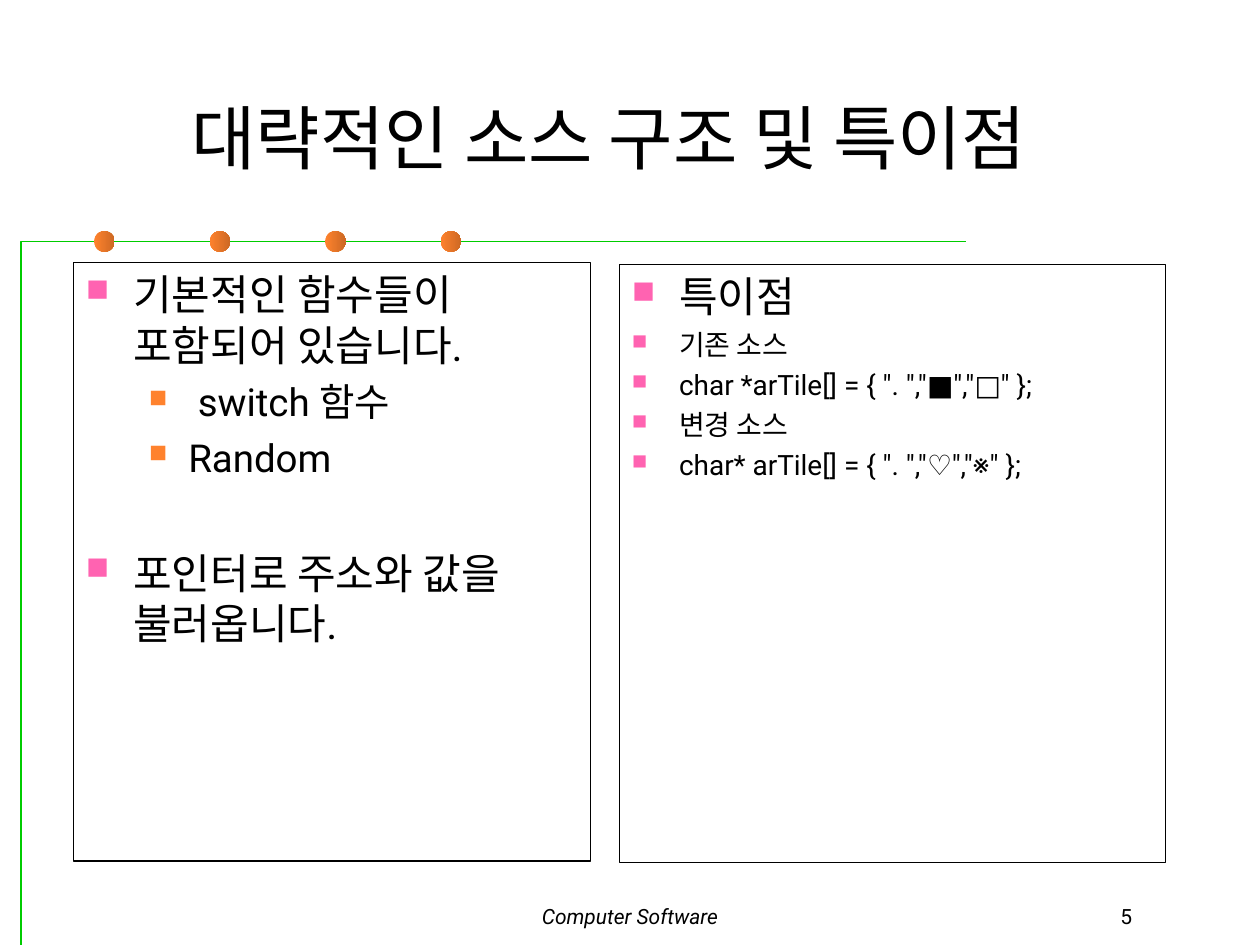
from lxml import etree
from pptx import Presentation
from pptx import util as u
from pptx.dml import color
from pptx.enum import shapes, text
from pptx.oxml import ns

FONT = "Roboto"
# level: (left margin, hanging indent, bullet colour, bullet size in percent)
LEVELS = {0: (27, 27, "FF63B1", 75), 1: (58.5, 22.5, "FF822D", 65)}


def rgb(value):
    """Turn a hex string into a colour."""
    return color.RGBColor.from_string(value)


def style(para, size, align=text.PP_ALIGN.LEFT, italic=False):
    """Set the font and alignment of a paragraph."""
    para.alignment = align
    para.font.name = FONT
    para.font.size = u.Pt(size)
    para.font.italic = italic
    para.font.color.rgb = rgb("000000")


def add_bullet(para, level):
    """Give a paragraph the square bullet and indent of its level."""
    margin, hanging, tint, percent = LEVELS[level]
    para.level = level
    props = para._p.get_or_add_pPr()
    props.set("marL", str(u.Pt(margin)))
    props.set("indent", str(-u.Pt(hanging)))
    holder = etree.Element(ns.qn("a:buClr"))
    etree.SubElement(holder, ns.qn("a:srgbClr"), val=tint)
    size = etree.Element(ns.qn("a:buSzPct"), val=str(percent * 1000))
    mark = etree.Element(ns.qn("a:buChar"), char="■")
    spacing = props.find(ns.qn("a:spcBef"))
    for part in (mark, size, holder):
        spacing.addnext(part)


def add_label(page, box, words, size, align, anchor, italic=False):
    """Place one line of text in a box."""
    frame = page.shapes.add_textbox(*map(u.Pt, box)).text_frame
    frame.word_wrap = True
    frame.vertical_anchor = anchor
    para = frame.paragraphs[0]
    para.text = words
    style(para, size, align, italic)


def add_panel(page, box, items):
    """Place an outlined panel of (words, size, level, extra gap) bullets."""
    panel = page.shapes.add_shape(shapes.MSO_SHAPE.RECTANGLE, *map(u.Pt, box))
    panel.shadow.inherit = False
    panel.fill.background()
    panel.line.color.rgb = rgb("000000")
    panel.line.width = u.Pt(0.75)
    frame = panel.text_frame
    frame.word_wrap = True
    frame.vertical_anchor = text.MSO_ANCHOR.TOP
    for index, (words, size, level, gap) in enumerate(items):
        para = frame.add_paragraph() if index else frame.paragraphs[0]
        para.text = words
        style(para, size)
        para.space_before = u.Pt(round(size * 0.23 + gap, 1))
        add_bullet(para, level)


def add_frame_line(page, box):
    """Draw the corner line on the left and top edges of a box, with its beads."""
    left, top, width, height = box
    builder = page.shapes.build_freeform(u.Pt(left), u.Pt(top + height))
    corner = [(left, top), (left + width, top)]
    builder.add_line_segments([(u.Pt(x), u.Pt(y)) for x, y in corner], close=False)
    line = builder.convert_to_shape()
    line.shadow.inherit = False
    line.fill.background()
    line.line.color.rgb = rgb("00CC00")
    line.line.width = u.Pt(0.75)

    size, first, step = 11.75, 41.75, 66
    for index in range(4):
        place = (left + first + index * step, top - size / 2, size, size)
        bead = page.shapes.add_shape(shapes.MSO_SHAPE.OVAL, *map(u.Pt, place))
        bead.shadow.inherit = False
        bead.line.fill.background()
        bead.fill.gradient()
        bead.fill.gradient_angle = 0
        for stop, tint in zip(bead.fill.gradient_stops, ("FF822D", "CD6924")):
            stop.color.rgb = rgb(tint)


def add_footer(page, box):
    """Place the footer and the page number in a band."""
    left, top, width, height = box
    split = left + 288
    add_label(page, (left, top, 288, height), "Computer Software", 12,
              text.PP_ALIGN.CENTER, text.MSO_ANCHOR.BOTTOM, italic=True)
    add_label(page, (split, top, width - 288, height), "5", 12,
              text.PP_ALIGN.RIGHT, text.MSO_ANCHOR.BOTTOM)


def build():
    """Build the deck and save it."""
    deck = Presentation()
    deck.slide_width, deck.slide_height = u.Pt(720), u.Pt(540)
    page = deck.slides.add_slide(deck.slide_layouts[6])
    add_frame_line(page, (12, 138, 540, 402))
    add_footer(page, (216, 498, 438, 36))
    add_label(page, (42, 36, 612, 84), "대략적인 소스 구조 및 특이점", 40,
              text.PP_ALIGN.CENTER, text.MSO_ANCHOR.MIDDLE)
    add_panel(page, (42, 150, 295.5, 342), [
        ("기본적인 함수들이 포함되어 있습니다.", 24, 0, 0),
        (" switch 함수", 22, 1, 0),
        ("Random", 22, 1, 0),
        ("포인터로 주소와 값을 불러옵니다.", 24, 0, 33),
    ])
    add_panel(page, (354, 151, 312, 342), [
        ("특이점", 24, 0, 0),
        ("기존 소스", 16, 0, 0),
        ('char *arTile[] = { ". ","■","□" };', 16, 0, 0),
        ("변경 소스", 16, 0, 0),
        ('char* arTile[] = { ". ","♡","※" };', 16, 0, 0),
    ])
    deck.save("out.pptx")


build()
